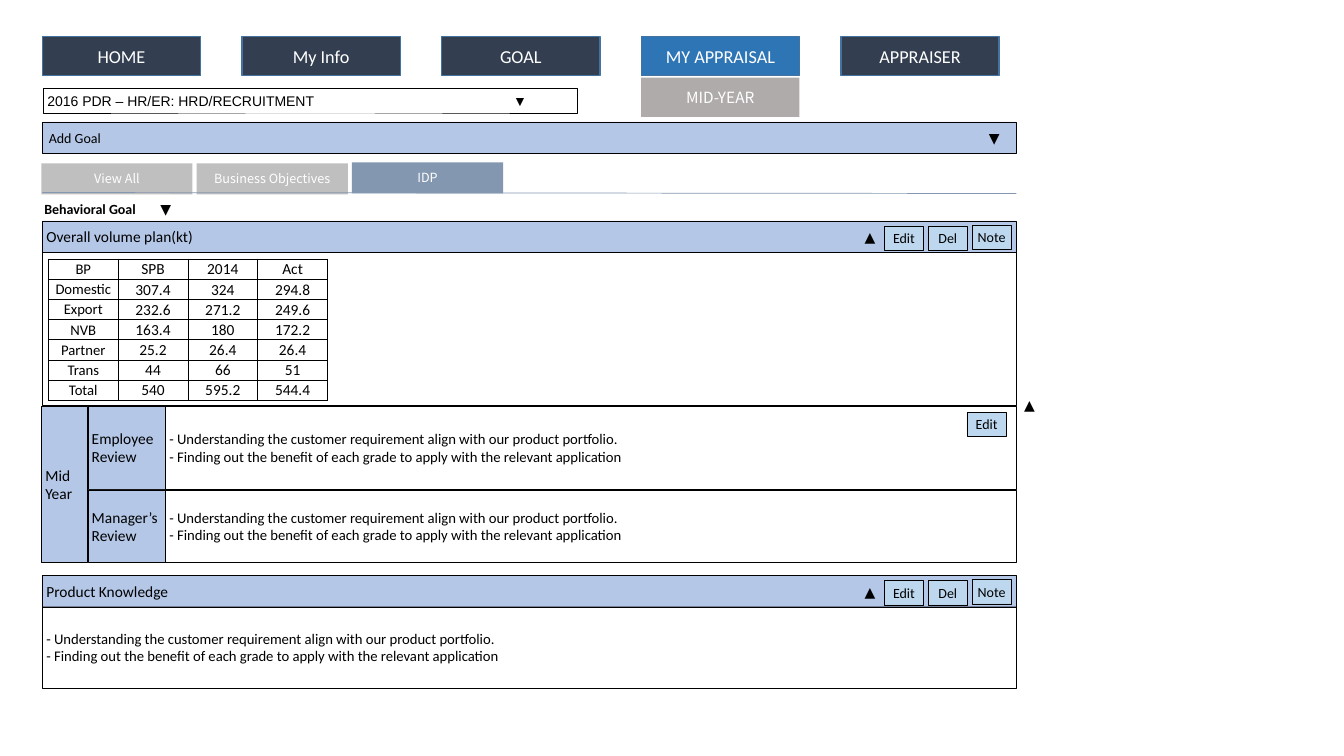
from lxml import etree
from pptx import Presentation
from pptx import util as u
from pptx.dml.color import RGBColor
from pptx.enum import shapes, text
from pptx.oxml import ns

CELL = u.Inches(0.1)  # the slide is a grid of square cells

WHITE = RGBColor(0xFF, 0xFF, 0xFF)
BLACK = RGBColor(0, 0, 0)
NAVY = RGBColor(0x33, 0x3F, 0x50)
ACTIVE = RGBColor(0x2E, 0x75, 0xB6)
NAV_EDGE = RGBColor(0x43, 0x73, 0x9E)
WARM_GREY = RGBColor(0xAF, 0xAB, 0xAB)
TAB_GREY = RGBColor(0xBF, 0xBF, 0xBF)
SLATE = RGBColor(0x84, 0x97, 0xB0)
BAR = RGBColor(0xB4, 0xC7, 0xE7)
BUTTON = RGBColor(0xBD, 0xD7, 0xEE)

SANS = "Calibri"
GOTHIC = "Noto Sans CJK KR"
LEFT, WIDTH, BAR_HEIGHT = 4.2, 96.6, 3.1
REVIEW = [
    "- Understanding the customer requirement align with our product portfolio.",
    "- Finding out the benefit of each grade to apply with the relevant application",
]
VOLUMES = [
    ("BP", "SPB", "2014", "Act"),
    ("Domestic", "307.4", "324", "294.8"),
    ("Export", "232.6", "271.2", "249.6"),
    ("NVB", "163.4", "180", "172.2"),
    ("Partner", "25.2", "26.4", "26.4"),
    ("Trans", "44", "66", "51"),
    ("Total", "540", "595.2", "544.4"),
]


def cells(*counts):
    return [round(n * CELL) for n in counts]


def write(tf, lines, size, color=BLACK, font=SANS, center=False, inset=0.4):
    tf.word_wrap = True
    tf.vertical_anchor = text.MSO_ANCHOR.MIDDLE
    tf.margin_left = tf.margin_right = tf.margin_top = tf.margin_bottom = cells(inset)[0]
    for i, line in enumerate(lines):
        p = tf.add_paragraph() if i else tf.paragraphs[0]
        p.text = line
        p.alignment = text.PP_ALIGN.CENTER if center else text.PP_ALIGN.LEFT
        p.font.size = u.Pt(size)
        p.font.name = font
        p.font.color.rgb = color


def add_box(s, x, y, w, h, lines=(), size=11, fill=None, edge=BLACK, weight=0.25, **style):
    sp = s.shapes.add_shape(shapes.MSO_SHAPE.RECTANGLE, *cells(x, y, w, h))
    sp.shadow.inherit = False
    if fill is None:
        sp.fill.background()
    else:
        sp.fill.solid()
        sp.fill.fore_color.rgb = fill
    if edge is None:
        sp.line.fill.background()
    else:
        sp.line.color.rgb = edge
        sp.line.width = u.Pt(weight)
    write(sp.text_frame, lines, size, **style)
    return sp


def add_label(s, x, y, w, h, line, **style):
    sp = s.shapes.add_textbox(*cells(x, y, w, h))
    write(sp.text_frame, [line], 10, **style)
    return sp


def add_mark(s, x, y, mark):
    add_label(s, x, y, 2.4, 2.7, mark, center=True, inset=0)


def add_button(s, x, y, caption):
    add_box(s, x, y, 3.9, 2.4, [caption], 10, fill=BUTTON, center=True)


def add_tab_stop(p, position):
    tabs = etree.Element(ns.qn("a:tabLst"))
    etree.SubElement(tabs, ns.qn("a:tab"), pos=str(cells(position)[0]), algn="l")
    p._p.get_or_add_pPr().insert(0, tabs)


def add_navigation(s):
    pitch, width, height = 19.8, 15.7, 3.9
    for i, caption in enumerate(["HOME", "My Info", "GOAL", "MY APPRAISAL", "APPRAISER"]):
        fill = ACTIVE if caption == "MY APPRAISAL" else NAVY
        add_box(s, LEFT + i * pitch, 3.6, width, height, [caption], 13, fill=fill,
                edge=NAV_EDGE, weight=1, color=WHITE, center=True)
    add_box(s, LEFT + 3 * pitch, 7.7, width, height, ["MID-YEAR"], 11, fill=WARM_GREY,
            edge=None, color=WHITE, font=GOTHIC, center=True)


def add_goal_tabs(s):
    tabs = [("View All", TAB_GREY), ("Business Objectives", TAB_GREY), ("IDP", SLATE)]
    for i, (caption, fill) in enumerate(tabs):
        add_box(s, 4.1 + i * 15.4, 16.1 if fill == SLATE else 16.2, 15, 3.1, [caption], 9,
                fill=fill, edge=None, color=WHITE, font=GOTHIC, center=True)
    rule = s.shapes.add_connector(shapes.MSO_CONNECTOR.STRAIGHT,
                                  *cells(LEFT, 19.1, LEFT + WIDTH, 19.2))
    rule.line.color.rgb = SLATE
    rule.line.width = u.Pt(0.5)
    etree.SubElement(rule._element.spPr, ns.qn("a:effectLst"))


def add_goal_bar(s, y, title):
    """Section bar with its fold mark and three buttons."""
    add_box(s, LEFT, y, WIDTH, BAR_HEIGHT, [title], fill=BAR)
    add_mark(s, 85.1, y + 0.3, "▲")
    for i, caption in enumerate(["Edit", "Del", "Note"]):
        add_button(s, 87.7 + i * 4.35, y + (0.4 if caption == "Note" else 0.5), caption)


def border(cell):
    tcPr = cell._tc.get_or_add_tcPr()
    for i, side in enumerate(["lnL", "lnR", "lnT", "lnB"]):
        ln = etree.Element(ns.qn("a:" + side), w=str(u.Pt(0.5)))
        fill = etree.SubElement(ln, ns.qn("a:solidFill"))
        etree.SubElement(fill, ns.qn("a:srgbClr"), val=str(BLACK))
        tcPr.insert(i, ln)


def add_volume_table(s):
    rows, cols = len(VOLUMES), len(VOLUMES[0])
    frame = s.shapes.add_table(rows, cols, *cells(4.8, 25.7, 27.7, 14))
    table = frame.table
    table.first_row = table.horz_banding = False
    for row, values in zip(table.rows, VOLUMES):
        for c, (cell, value) in enumerate(zip(row.cells, values)):
            cell.fill.background()
            cell.vertical_anchor = text.MSO_ANCHOR.MIDDLE
            cell.margin_left = cell.margin_right = cell.margin_top = cells(0.1)[0]
            cell.margin_bottom = 0
            p = cell.text_frame.paragraphs[0]
            p.text = value
            p.alignment = text.PP_ALIGN.CENTER
            p.font.size = u.Pt(11 if c else 10.5)
            p.font.name = SANS
            p.font.color.rgb = BLACK
            border(cell)


def add_mid_year(s):
    top, bottom = 40.3, 55.8
    for y, h, reviewer in [(top, 8.2, "Employee"), (48.6, 7.2, "Manager’s")]:
        add_box(s, 16.4, y, 84.4, h, REVIEW, 10.5)
        add_box(s, 8.7, y, 7.7, h, [reviewer + "\vReview"], fill=BAR)
    add_box(s, 4.1, top, 4.6, bottom - top, ["Mid\vYear"], fill=BAR)
    add_button(s, 95.9, 40.9, "Edit")
    add_mark(s, 100.9, 38.8, "▲")


def main():
    prs = Presentation()
    prs.slide_width, prs.slide_height = u.Inches(13.33), u.Inches(7.5)
    s = prs.slides.add_slide(prs.slide_layouts[6])

    add_navigation(s)
    plan = add_box(s, 4.3, 8.8, 52.9, 2.4, ["2016 PDR – HR/ER: HRD/RECRUITMENT\t▼"], 10,
                   font="Arial")
    add_tab_stop(plan.text_frame.paragraphs[0], 46.2)
    add_goal = add_box(s, LEFT, 12.1, WIDTH, BAR_HEIGHT, ["Add Goal"], 10, fill=BAR)
    add_goal.text_frame.margin_left = cells(0.65)[0]
    add_mark(s, 97.4, 12.3, "▼")
    add_goal_tabs(s)

    behavior = add_label(s, LEFT, 19.7, 16.6, 2.1, "Behavioral Goal\t", inset=0.2)
    p = behavior.text_frame.paragraphs[0]
    add_tab_stop(p, 11.5)
    p.runs[0].font.bold = True
    p.add_run().text = "▼"

    add_box(s, LEFT, 24.9, WIDTH, 15.3)
    add_goal_bar(s, 21.9, "Overall volume plan(kt)")
    add_volume_table(s)
    add_mid_year(s)

    add_box(s, LEFT, 60.1, WIDTH, 8.2, REVIEW, 10.5)
    add_goal_bar(s, 57.1, "Product Knowledge")
    prs.save("out.pptx")


if __name__ == "__main__":
    main()
